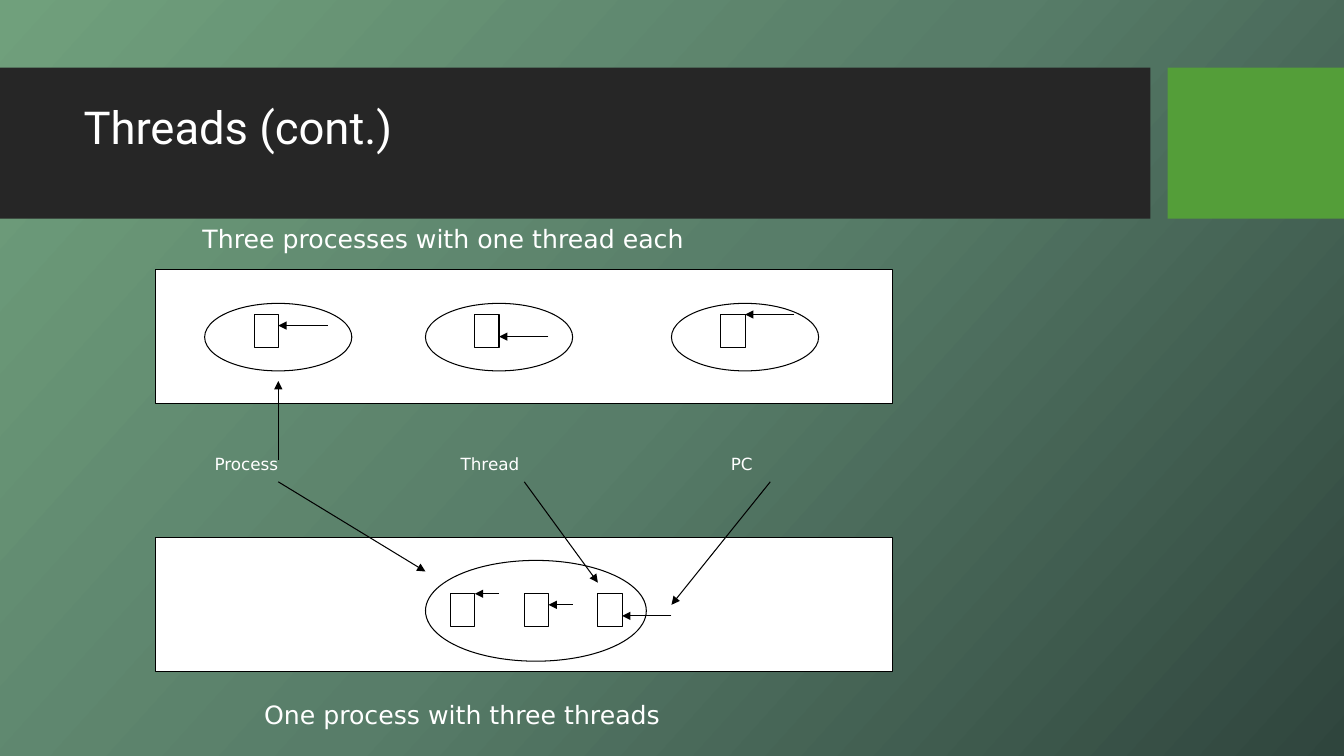
from copy import deepcopy

from pptx import Presentation
from pptx import util as u
from pptx.dml.color import RGBColor
from pptx.enum import shapes, text
from pptx.oxml.ns import qn
from pptx.oxml.xmlchemy import OxmlElement

COLORS = {
    "white": "FFFFFF", "black": "000000", "band": "262626", "accent": "549E39",
    "bg_light": "70A07C", "bg_mid": "587D69", "bg_dark": "2F453D",
}
RECT = shapes.MSO_SHAPE.RECTANGLE
OVAL = shapes.MSO_SHAPE.OVAL
THREAD_W, THREAD_H = 0.24, 0.33


def rgb(name):
    return RGBColor.from_string(COLORS[name])


def set_background(s):
    fill = s.background.fill
    fill.gradient()
    fill.gradient_angle = 318
    stops = s._element.find(".//" + qn("a:gsLst"))
    stops.append(deepcopy(stops[-1]))
    names = ("bg_light", "bg_mid", "bg_dark")
    for stop, name, position in zip(fill.gradient_stops, names, (0, 0.5, 1)):
        stop.color.rgb = rgb(name)
        stop.position = position


def add_block(s, kind, x, y, w, h, fill="white", outlined=True):
    sp = s.shapes.add_shape(kind, *map(u.Inches, (x, y, w, h)))
    sp.shadow.inherit = False
    sp.fill.solid()
    sp.fill.fore_color.rgb = rgb(fill)
    if outlined:
        sp.line.color.rgb = rgb("black")
        sp.line.width = u.Pt(0.75)
    else:
        sp.line.fill.background()
    return sp


def add_arrow(s, x1, y1, x2, y2):
    line = s.shapes.add_connector(
        shapes.MSO_CONNECTOR.STRAIGHT, *map(u.Inches, (x1, y1, x2, y2)))
    line.line.color.rgb = rgb("black")
    line.line.width = u.Pt(0.75)
    head = OxmlElement("a:tailEnd")
    head.set("type", "triangle")
    line.line._get_or_add_ln().append(head)
    line._element.spPr.append(OxmlElement("a:effectLst"))
    return line


def add_text(s, words, x, y, w, h, size, font="DejaVu Sans"):
    sp = s.shapes.add_textbox(*map(u.Inches, (x, y, w, h)))
    tf = sp.text_frame
    tf.word_wrap = True
    p = tf.paragraphs[0]
    r = p.add_run()
    r.text = words
    r.font.size = u.Pt(size)
    r.font.name = font
    r.font.color.rgb = rgb("white")
    return tf


def add_thread(s, x, y, pc_drop, pc_length):
    """A thread box with its program counter arrow on the right."""
    box = add_block(s, RECT, x, y, THREAD_W, THREAD_H)
    right, pc_y = x + THREAD_W, y + pc_drop
    pc = add_arrow(s, right + pc_length, pc_y, right, pc_y)
    if pc_drop == THREAD_H / 2:
        pc.end_connect(box, 3)


def main():
    prs = Presentation()
    prs.slide_width, prs.slide_height = u.Inches(13.33), u.Inches(7.5)
    s = prs.slides.add_slide(prs.slide_layouts[6])
    set_background(s)

    # Title band
    add_block(s, RECT, 0, 0.67, 11.41, 1.5, "band", outlined=False)
    add_block(s, RECT, 11.58, 0.67, 1.75, 1.5, "accent", outlined=False)
    tf = add_text(s, "Threads (cont.)", 0.73, 1, 9.42, 0.57, 32.4, "Roboto")
    tf.vertical_anchor = text.MSO_ANCHOR.MIDDLE
    tf.paragraphs[0].line_spacing = 0.9

    # Three processes, one thread each
    add_block(s, RECT, 1.54, 2.67, 7.31, 1.33)
    for x, pc_drop in ((2.03, 0.11), (4.22, 0.22), (6.66, 0)):
        add_block(s, OVAL, x, 3.01, 1.46, 0.67)
        add_thread(s, x + 0.49, 3.12, pc_drop, 0.49)

    # One process, three threads
    add_block(s, RECT, 1.54, 5.33, 7.31, 1.33)
    add_block(s, OVAL, 4.22, 5.56, 2.19, 1)
    for i, pc_length in enumerate((0.24, 0.24, 0.49)):
        add_thread(s, 4.47 + 0.73 * i, 5.89, 0.11 * i, pc_length)

    # Labels and their pointers
    for label, x, w in (("Process", 2.03, 1.71), ("Thread", 4.47, 1.71),
                        ("PC", 7.15, 0.98)):
        add_text(s, label, x, 4.45, w, 0.44, 12)
    for ends in ((2.76, 4.56, 2.76, 3.78), (2.76, 4.78, 4.22, 5.67),
                 (5.2, 4.78, 5.93, 5.78), (7.64, 4.78, 6.66, 6)):
        add_arrow(s, *ends)

    # Captions
    add_text(s, "Three processes with one thread each", 1.91, 2.17, 6.83, 0.44, 18)
    add_text(s, "One process with three threads", 2.52, 6.89, 5.85, 0.44, 18)

    prs.save("out.pptx")


if __name__ == "__main__":
    main()
